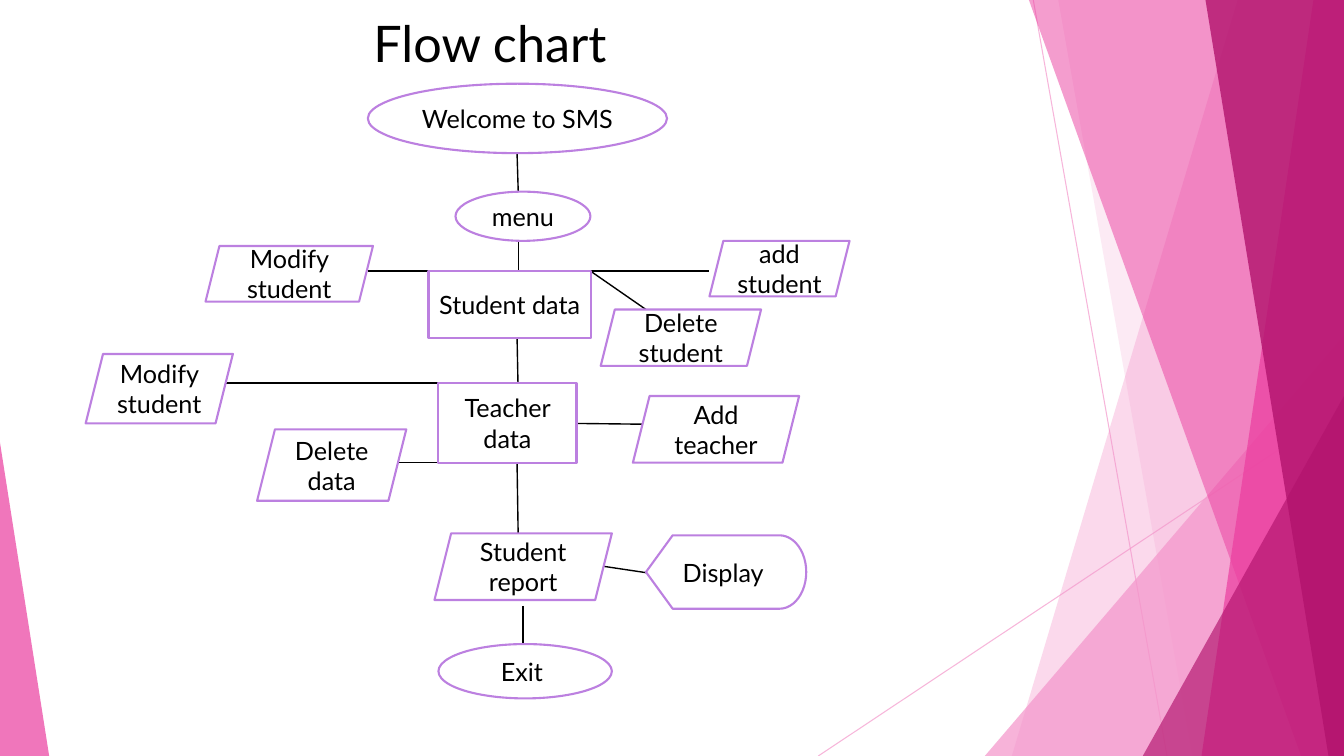
from lxml import etree
from pptx import Presentation
from pptx import util as u
from pptx.dml import color
from pptx.enum import shapes, text
from pptx.oxml import ns

FONT = "Lato"
INK, OUTLINE, PAPER = "000000", "BC80E0", "FFFFFF"
PALE, PINK, DEEP = "F496CB", "EB3D9F", "B2136D"
KIND = shapes.MSO_SHAPE


def paint(part, hex_color, opacity=100):
    """Give a fill a solid colour, with an opacity in percent."""
    part.solid()
    part.fore_color.rgb = color.RGBColor.from_string(hex_color)
    if opacity < 100:
        for tint in part._xPr.iter(ns.qn("a:srgbClr")):
            etree.SubElement(tint, ns.qn("a:alpha"), val=str(opacity * 1000))


def write(frame, words, size):
    """Write one centred run into a text frame."""
    frame.word_wrap = True
    line = frame.paragraphs[0]
    line.alignment = text.PP_ALIGN.CENTER
    run = line.add_run()
    run.text = words
    run.font.size = u.Pt(size)
    run.font.name = FONT
    paint(run.font.fill, INK)


def link(slide, start, end, hex_color, width, opacity=100):
    """Draw a straight line between two points in centimetres."""
    line = slide.shapes.add_connector(
        shapes.MSO_CONNECTOR.STRAIGHT, *map(u.Cm, (*start, *end)))
    line.line.width = u.Pt(width)
    paint(line.line.fill, hex_color, opacity)
    etree.SubElement(line._element.spPr, ns.qn("a:effectLst"))


def facet(shape, hex_color, opacity):
    """Style a translucent facet without outline."""
    shape.shadow.inherit = False
    shape.line.fill.background()
    paint(shape.fill, hex_color, opacity)


def wedge(slide, left, width, height, bottom, apex, hex_color, opacity):
    """Stand a right triangle on the bottom edge."""
    triangle = slide.shapes.add_shape(
        KIND.ISOSCELES_TRIANGLE,
        *map(u.Cm, (left, bottom - height, width, height)))
    triangle.adjustments[0] = apex
    facet(triangle, hex_color, opacity)


def strip(slide, upper, lower, right, top, bottom, hex_color, opacity):
    """Fill from a slanted left edge to the right edge."""
    outline = slide.shapes.build_freeform(u.Cm(upper), u.Cm(top))
    corners = [(right, top), (right, bottom), (lower, bottom)]
    outline.add_line_segments([tuple(map(u.Cm, c)) for c in corners])
    facet(outline.convert_to_shape(), hex_color, opacity)


def facets(slide, left, top, width, height):
    """Draw the pink facets along the right side."""
    right, bottom = left + width, top + height
    for start, end in [((5.42, 0), (8.79, height)),
                       ((width, 10.24), (0, height))]:
        link(slide, (left + start[0], top + start[1]),
             (left + end[0], top + end[1]), PALE, 0.75, 70)

    def slant(upper, lower, hex_color, opacity):
        """Place one strip inside the box."""
        strip(slide, left + upper, left + lower, right, top, bottom,
              hex_color, opacity)

    def corner(inset, rise, hex_color, opacity):
        """Place one triangle in the lower right corner."""
        wedge(slide, left + inset, width - inset, rise, bottom, 1,
              hex_color, opacity)

    slant(10.57, 4.88, PALE, 36)
    slant(6.05, 9.43, PALE, 20)
    corner(4.2, 10.59, PALE, 72)
    slant(5.31, 12.17, PINK, 50)
    slant(12.48, 9.66, PINK, 70)
    slant(9.76, 12.86, DEEP, 80)
    corner(8.18, 9.07, DEEP, 66)


def title(slide, left, top, width, height):
    """Write the slide title."""
    heading = slide.shapes.add_textbox(*map(u.Cm, (left, top, width, height)))
    write(heading.text_frame, "Flow chart", 36)


def flow_chart(slide, left, top):
    """Draw links and steps, measured from the top left of the chart."""
    links = [
        (11.03, 1.86, 11.06, 2.83),
        (11.06, 4.07, 11.06, 4.83),
        (12.88, 4.83, 15.88, 4.83),
        (8.8, 4.83, 7.27, 4.83),
        (12.88, 4.83, 14.28, 5.8),
        (11.03, 6.48, 11.06, 7.98),
        (12.53, 8.67, 14.28, 8.69),
        (9.05, 7.65, 3.18, 7.65),
        (9.05, 9.66, 7.4, 9.66),
        (11.03, 9.66, 11.06, 11.59),
        (11.18, 13.27, 11.18, 14.21),
        (13.21, 12.27, 14.28, 12.43),
    ]
    steps = [
        ("Welcome to SMS", KIND.OVAL, 7.27, 0.11, 7.54, 1.75),
        ("menu", KIND.OVAL, 9.48, 2.83, 3.4, 1.24),
        ("Student data", KIND.RECTANGLE, 8.8, 4.83, 4.09, 1.68),
        ("add student", KIND.PARALLELOGRAM, 15.88, 4.07, 3.53, 1.4),
        ("Delete student", KIND.PARALLELOGRAM, 13.14, 5.8, 4.04, 1.42),
        ("Modify student", KIND.PARALLELOGRAM, 3.18, 4.2, 4.22, 1.4),
        ("Teacher data", KIND.RECTANGLE, 9.05, 7.65, 3.48, 2.01),
        ("Modify student", KIND.PARALLELOGRAM, 0.16, 6.92, 3.71, 1.75),
        ("Add teacher", KIND.PARALLELOGRAM, 13.95, 7.98, 4.19, 1.68),
        ("Student report", KIND.PARALLELOGRAM, 8.95, 11.44, 4.47, 1.68),
        ("Delete data", KIND.PARALLELOGRAM, 4.48, 8.82, 3.76, 1.8),
        ("Exit ", KIND.OVAL, 9.05, 14.23, 4.37, 1.37),
        ("Display ", KIND.FLOWCHART_DISPLAY, 14.28, 11.49, 4.04, 1.85),
    ]
    for x1, y1, x2, y2 in links:
        link(slide, (left + x1, top + y1), (left + x2, top + y2), INK, 1)
    for words, kind, x, y, width, height in steps:
        step = slide.shapes.add_shape(
            kind, *map(u.Cm, (left + x, top + y, width, height)))
        step.shadow.inherit = False
        paint(step.fill, PAPER)
        paint(step.line.fill, OUTLINE)
        step.line.width = u.Pt(1.5)
        step.text_frame.vertical_anchor = text.MSO_ANCHOR.MIDDLE
        write(step.text_frame, words, 18)


def main():
    """Build the slide and save it."""
    deck = Presentation()
    deck.slide_width, deck.slide_height = u.Cm(33.87), u.Cm(19.05)
    slide = deck.slides.add_slide(deck.slide_layouts[6])
    facets(slide, 20.62, 0, 13.25, 19.05)
    wedge(slide, 0, 1.24, 7.9, 19.05, 0, PINK, 70)
    title(slide, 0.41, 0.18, 23.88, 3.66)
    flow_chart(slide, 2, 2)
    deck.save("out.pptx")


if __name__ == "__main__":
    main()
